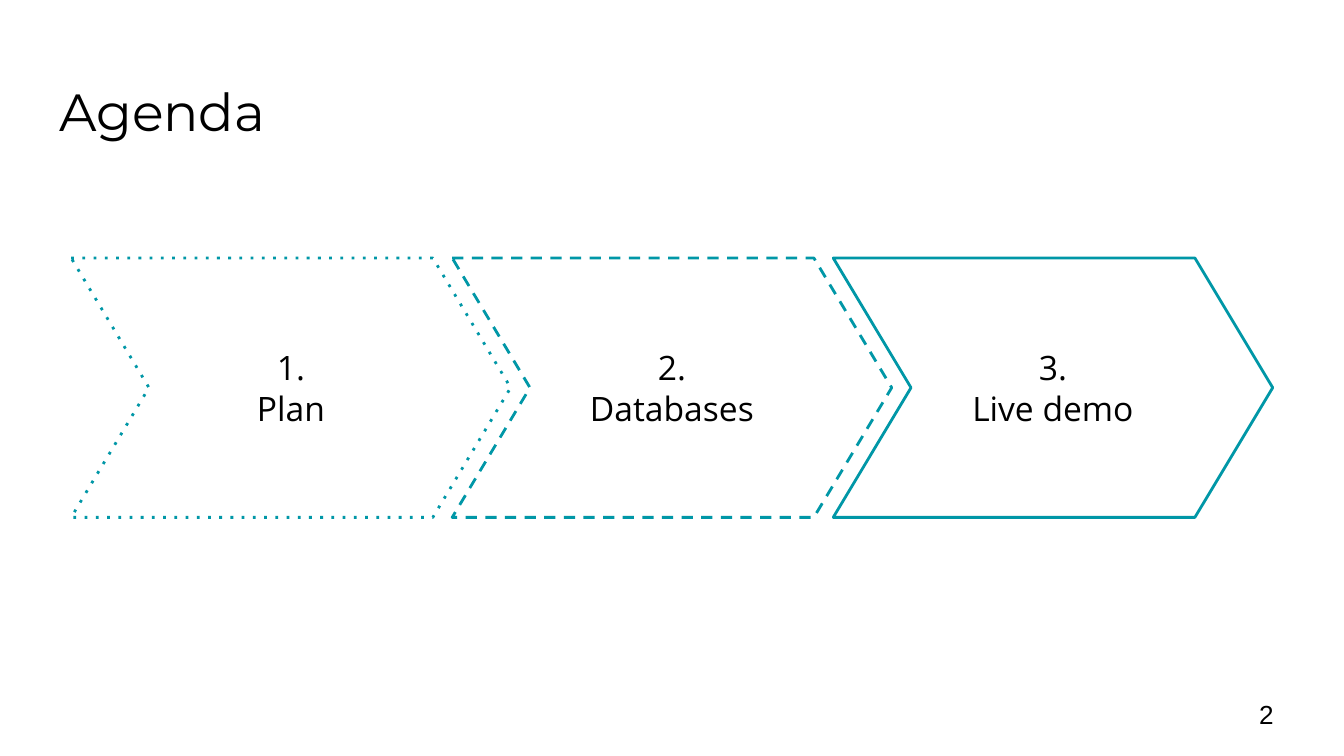
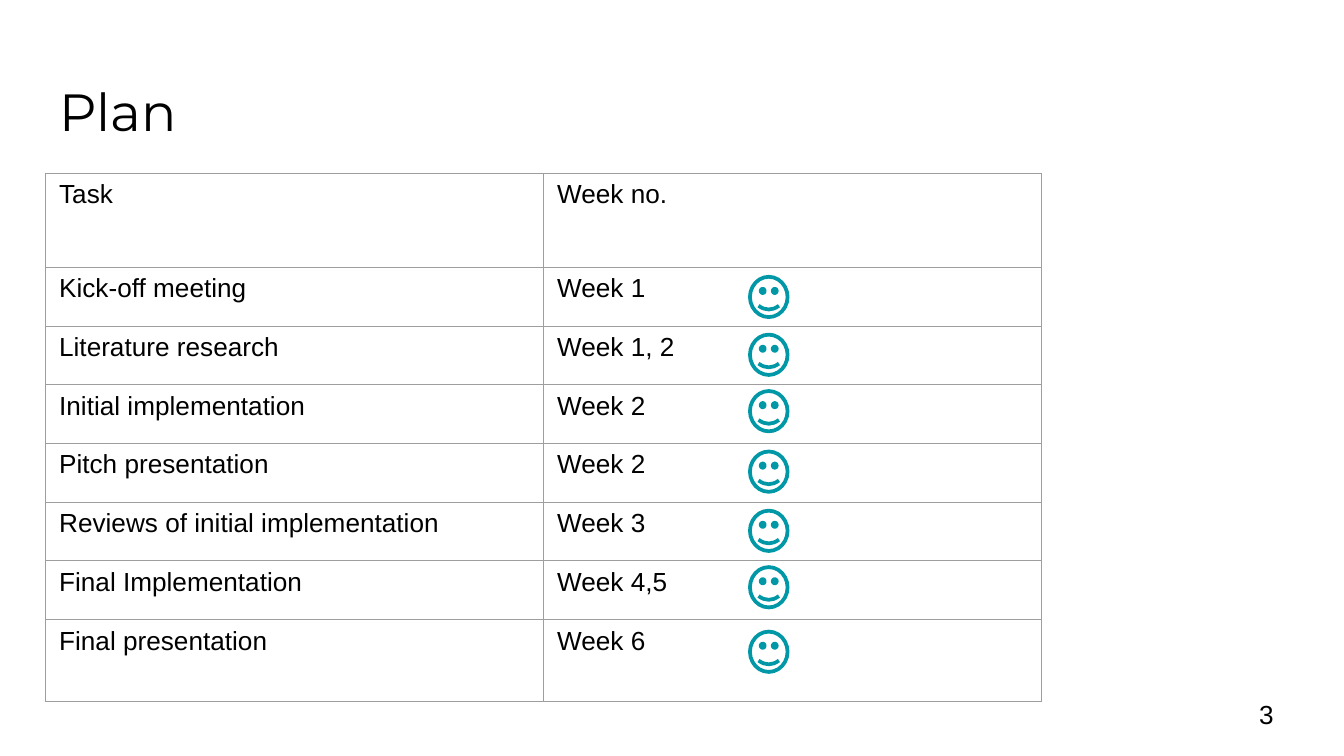
from lxml.etree import SubElement
from pptx import Presentation
from pptx.dml.color import RGBColor
from pptx.enum.shapes import MSO_SHAPE as SHAPE
from pptx.enum.text import MSO_ANCHOR as ANCHOR, MSO_AUTO_SIZE as AUTO_SIZE, PP_ALIGN as ALIGN
from pptx.oxml.ns import qn
from pptx.util import Inches, Pt

BLACK, WHITE, TEAL, GREY = "000000", "FFFFFF", "0097A7", "9E9E9E"


def color(value):
    return RGBColor.from_string(value)


def write(frame, text, size=14, font="Arial", fill=BLACK, align=ALIGN.LEFT,
          anchor=ANCHOR.TOP, inset=0.1):
    frame.word_wrap = True
    frame.auto_size = AUTO_SIZE.NONE
    frame.vertical_anchor = anchor
    frame.margin_left = frame.margin_right = Inches(inset)
    frame.margin_top = frame.margin_bottom = Inches(inset)
    frame.text = text
    for para in frame.paragraphs:
        para.alignment = align
        for span in para.runs:
            span.font.size = Pt(size)
            span.font.name = font
            span.font.color.rgb = color(fill)


deck = Presentation()
deck.slide_width = Inches(10)
deck.slide_height = deck.slide_width * 9 // 16

pages = []
for number, heading in enumerate(["Agenda", "Plan"], start=2):
    page = deck.slides.add_slide(deck.slide_layouts[5])
    page.background.fill.solid()
    page.background.fill.fore_color.rgb = color(WHITE)
    title = page.shapes.title
    title.left, title.top = Inches(0.34), Inches(0.49)
    title.width, title.height = Inches(9.32), Inches(0.63)
    write(title.text_frame, heading, size=28, font="Montserrat")
    box = page.shapes.add_textbox(Inches(9.27), Inches(5.1), Inches(0.6), Inches(0.43))
    write(box.text_frame, str(number), anchor=ANCHOR.MIDDLE)
    pages.append(page)
agenda, plan = pages

steps = [("1.\nPlan", "dot"), ("2.\nDatabases", "dash"), ("3.\nLive demo", "solid")]
for index, (label, dash) in enumerate(steps):
    chevron = agenda.shapes.add_shape(
        SHAPE.CHEVRON, Inches(0.53 + 2.835 * index), Inches(1.92), Inches(3.27), Inches(1.93))
    chevron.adjustments[0] = 0.3
    chevron.shadow.inherit = False
    chevron.fill.background()
    chevron.line.color.rgb = color(TEAL)
    chevron.line.width = Pt(1.5)
    outline = chevron.element.spPr.find(qn("a:ln"))
    SubElement(outline, qn("a:prstDash"), val=dash)
    write(chevron.text_frame, label, size=18, font="Open Sans",
          align=ALIGN.CENTER, anchor=ANCHOR.MIDDLE)

tasks = [
    ("Task", "Week no."),
    ("Kick-off meeting", "Week 1"),
    ("Literature research", "Week 1, 2"),
    ("Initial implementation", "Week 2"),
    ("Pitch presentation", "Week 2"),
    ("Reviews of initial implementation", "Week 3"),
    ("Final Implementation", "Week 4,5"),
    ("Final presentation", "Week 6"),
]
heights = [0.7] + [2.62 / 6] * 6 + [0.61]
table = plan.shapes.add_table(len(tasks), 2, Inches(0.34), Inches(1.29),
                              Inches(7.41), Inches(sum(heights))).table
table.first_row = table.horz_banding = False
for row, height, texts in zip(table.rows, heights, tasks):
    row.height = Inches(height)
    for cell, text in zip(row.cells, texts):
        cell.text = text
        span = cell.text_frame.paragraphs[0].runs[0]
        span.font.size = Pt(14)
        span.font.name = "Arial"
        span.font.color.rgb = color(BLACK)
        properties = cell._tc.get_or_add_tcPr()
        for side in ("lnL", "lnR", "lnT", "lnB"):
            border = SubElement(properties, qn("a:" + side), w=str(Pt(0.75)))
            SubElement(SubElement(border, qn("a:solidFill")), qn("a:srgbClr"), val=GREY)
        cell.fill.background()

for top in (2.06, 2.49, 2.91, 3.36, 3.8, 4.22, 4.7):
    smiley = plan.shapes.add_shape(
        SHAPE.SMILEY_FACE, Inches(5.58), Inches(top), Inches(0.28), Inches(0.3))
    smiley.shadow.inherit = False
    smiley.fill.solid()
    smiley.fill.fore_color.rgb = color(WHITE)
    smiley.line.color.rgb = color(TEAL)
    smiley.line.width = Pt(2)

deck.save("out.pptx")
